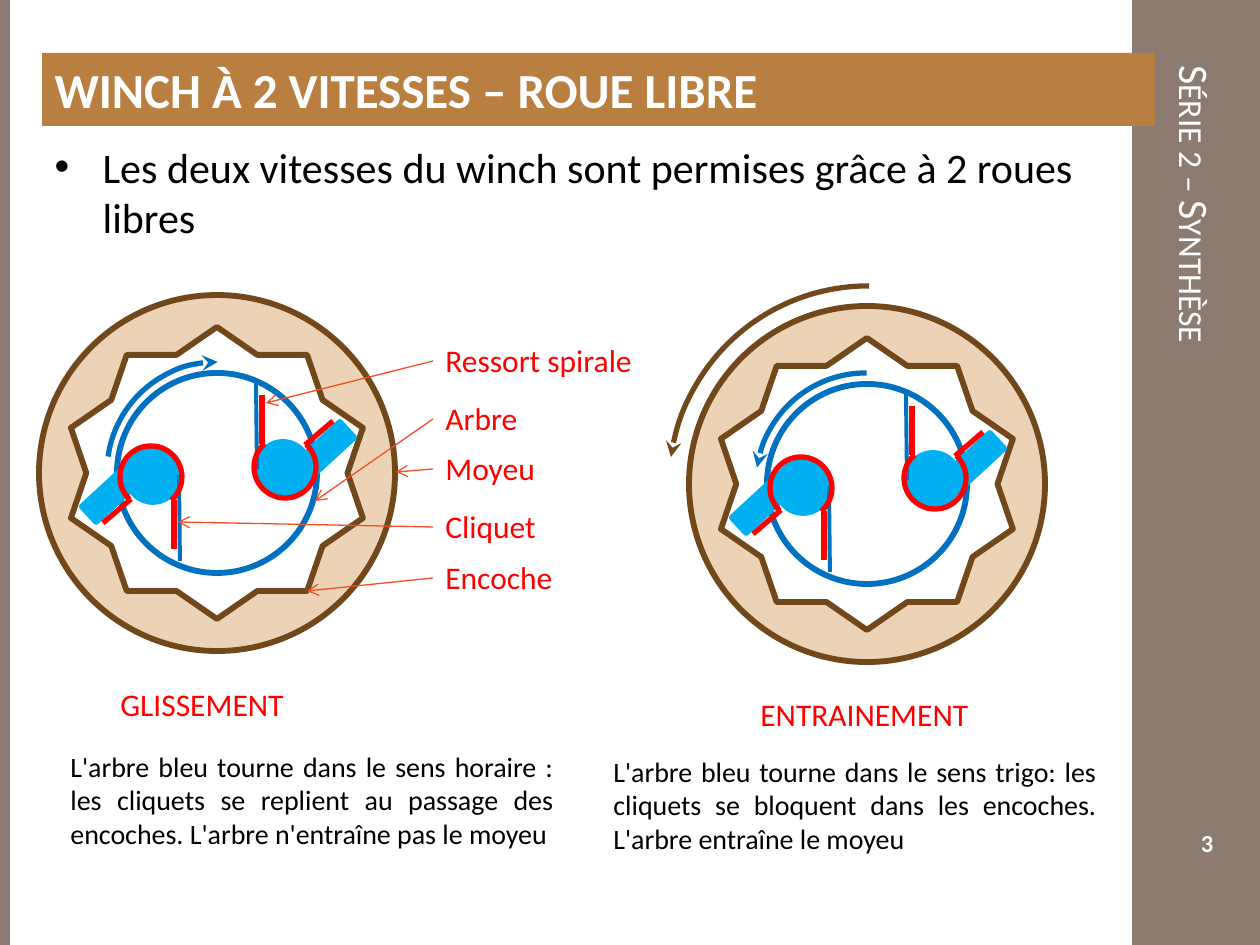
from lxml import etree
from pptx import Presentation
from pptx.dml.color import RGBColor
from pptx.enum.shapes import MSO_CONNECTOR, MSO_SHAPE
from pptx.enum.text import MSO_ANCHOR, MSO_AUTO_SIZE, PP_ALIGN
from pptx.oxml.ns import qn
from pptx.util import Emu, Pt

WHITE = RGBColor(0xFF, 0xFF, 0xFF)
BLACK = RGBColor(0x00, 0x00, 0x00)
TAUPE = RGBColor(0x8C, 0x7B, 0x70)
OCHRE = RGBColor(0xB8, 0x7F, 0x40)
SAND = RGBColor(0xED, 0xD3, 0xB6)
BROWN = RGBColor(0x71, 0x48, 0x1C)
BLUE = RGBColor(0x00, 0x70, 0xC0)
SKY = RGBColor(0x00, 0xB0, 0xF0)
RED = RGBColor(0xFF, 0x00, 0x00)
ORANGE = RGBColor(0xF3, 0x4E, 0x27)

RECTANGLE = MSO_SHAPE.RECTANGLE
OVAL = MSO_SHAPE.OVAL
STAR = MSO_SHAPE.STAR_10_POINT
ARC = MSO_SHAPE.ARC
STRAIGHT = MSO_CONNECTOR.STRAIGHT
LEFT = PP_ALIGN.LEFT
CENTER = PP_ALIGN.CENTER
JUSTIFY = PP_ALIGN.JUSTIFY
TOP = MSO_ANCHOR.TOP
MIDDLE = MSO_ANCHOR.MIDDLE
NO_AUTOFIT = MSO_AUTO_SIZE.NONE

SCALE = 914400 / 126
FONT = "Calibri"
THICK = 3.35
HOOK = (80.06, 29.29)
SWEEP = (112.83, 162.21)
LABELS = [
    ("Ressort spirale", 335, (266, 403)),
    ("Arbre", 393, (315, 501)),
    ("Moyeu", 443, (396, 472)),
    ("Cliquet", 501, (178, 522)),
    ("Encoche", 552, (307, 591)),
]


def px(value):
    return Emu(round(value * SCALE))


def write_text(shape, text, size=18, color=RED, bold=False, align=LEFT, anchor=TOP):
    frame = shape.text_frame
    frame.word_wrap = True
    frame.auto_size = NO_AUTOFIT
    frame.vertical_anchor = anchor
    paragraph = frame.paragraphs[0]
    paragraph.alignment = align
    paragraph.space_before = Pt(0)
    run = paragraph.add_run()
    run.text = text
    run.font.name = FONT
    run.font.size = Pt(size)
    run.font.bold = bold
    run.font.color.rgb = color
    return run


class WinchSlide:
    def __init__(self, slide):
        self.slide = slide
        self.shapes = slide.shapes

    def outline(self, item, color, width, end=None, style="stealth"):
        item.line.color.rgb = color
        item.line.width = Pt(width)
        if end:
            line = item.element.spPr.find(qn("a:ln"))
            etree.SubElement(line, qn(f"a:{end}")).set("type", style)

    def shape(self, kind, left, top, width, height, fill=None, color=None,
              line_width=THICK, rotation=0, sweep=(), end=None):
        shape = self.shapes.add_shape(kind, px(left), px(top), px(width), px(height))
        shape.shadow.inherit = False
        shape.rotation = rotation
        for index, angle in enumerate(sweep):
            shape.adjustments[index] = angle
        if fill is None:
            shape.fill.background()
        else:
            shape.fill.solid()
            shape.fill.fore_color.rgb = fill
        if color is None:
            shape.line.fill.background()
        else:
            self.outline(shape, color, line_width, end)
        return shape

    def arc(self, left, top, size, color, sweep, rotation=0, end=None):
        return self.shape(ARC, left, top, size, size, None, color, 3, rotation, sweep, end)

    def line(self, start, finish, color, width, end=None):
        connector = self.shapes.add_connector(
            STRAIGHT, *(px(value) for value in (*start, *finish)))
        self.outline(connector, color, width, end, "arrow")
        etree.SubElement(connector.element.spPr, qn("a:effectLst"))
        return connector

    def text(self, text, left, top, width, height, **style):
        box = self.shapes.add_textbox(px(left), px(top), px(width), px(height))
        run = write_text(box, text, **style)
        return box, run

    def placeholder(self, index, text, left, top, width, height, **style):
        shape = self.slide.placeholders[index]
        shape.left, shape.top = px(left), px(top)
        shape.width, shape.height = px(width), px(height)
        write_text(shape, text, **style)
        shape.element.getparent().append(shape.element)
        return shape

    def pawl(self, dx, dy, turned):
        turn = 180 if turned else 0

        def place(x, y, width=0, height=0):
            if turned:
                x, y = 436 - x - width, 944 - y - height
            return x + dx, y + dy

        self.shape(OVAL, *place(127, 450, 52, 52), 52, 52, SKY, SKY, rotation=turn)
        self.shape(RECTANGLE, *place(79, 478, 76, 21), 76, 21, SKY, SKY,
                   rotation=(317.3 + turn) % 360)
        self.line(place(179, 475), place(180, 561), BLUE, 2.25)
        self.line(place(131, 499), place(103, 523), RED, 3)
        self.line(place(174, 500), place(174, 549), RED, 3)
        self.arc(*place(120, 446, 62, 62), 62, RED, HOOK, turn)

    def wheel(self, dx, dy):
        self.shape(OVAL, 39 + dx, 295 + dy, 356, 356, SAND, BROWN)
        self.shape(STAR, 71 + dx, 327 + dy, 292, 292, WHITE, BROWN)
        self.shape(OVAL, 117 + dx, 373 + dy, 200, 200, None, BLUE)
        self.pawl(dx, dy, False)
        self.pawl(dx, dy, True)

    def callout(self, text, top, target):
        label, _ = self.text(text, 433, top, 217, 52)
        connector = self.line((433, top + 26), target, ORANGE, 0.75, "tailEnd")
        connector.begin_connect(label, 1)


def main():
    presentation = Presentation()
    presentation.slide_width, presentation.slide_height = px(1260), px(945)
    slide = presentation.slides.add_slide(presentation.slide_layouts[1])
    winch = WinchSlide(slide)

    winch.shape(RECTANGLE, 1132, 0, 142, 945, TAUPE)
    winch.shape(RECTANGLE, 0, 0, 10, 945, TAUPE)
    side, run = winch.text("Série 2 – Synthèse", 1132, 53, 128, 809,
                           size=24, color=WHITE, anchor=MIDDLE)
    side.text_frame._txBody.bodyPr.set("vert", "vert")
    run.font._element.set("cap", "small")
    winch.text("3", 1140, 823, 134, 39, size=14, color=WHITE, bold=True,
               align=CENTER, anchor=MIDDLE)

    body = winch.placeholder(
        1, "Les deux vitesses du winch sont permises grâce à 2 roues libres",
        42, 135, 1080, 726, size=24, color=BLACK)
    properties = body.text_frame.paragraphs[0]._p.get_or_add_pPr()
    properties.set("marL", str(px(48)))
    properties.set("indent", str(px(-48)))
    title = winch.placeholder(0, "WINCH À 2 VITESSES – ROUE LIBRE", 42, 53, 1113, 73,
                              size=28, color=WHITE, bold=True)
    title.fill.solid()
    title.fill.fore_color.rgb = OCHRE

    winch.wheel(0, 0)
    winch.arc(107, 362, 220, BLUE, SWEEP, end="tailEnd")
    for label in LABELS:
        winch.callout(*label)

    winch.wheel(650, 11)
    winch.arc(756, 373, 220, BLUE, SWEEP, end="headEnd")
    winch.arc(669, 286, 398, BROWN, SWEEP, end="headEnd")

    winch.text("GLISSEMENT", 108, 679, 217, 52)
    winch.text("ENTRAINEMENT", 748, 689, 237, 52)
    winch.text("L'arbre bleu tourne dans le sens horaire : les cliquets se replient au "
               "passage des encoches. L'arbre n'entraîne pas le moyeu",
               58, 743, 508, 115, size=16, color=BLACK, align=JUSTIFY)
    winch.text("L'arbre bleu tourne dans le sens trigo: les cliquets se bloquent dans "
               "les encoches. L'arbre entraîne le moyeu",
               601, 748, 508, 115, size=16, color=BLACK, align=JUSTIFY)
    presentation.save("out.pptx")


if __name__ == "__main__":
    main()
